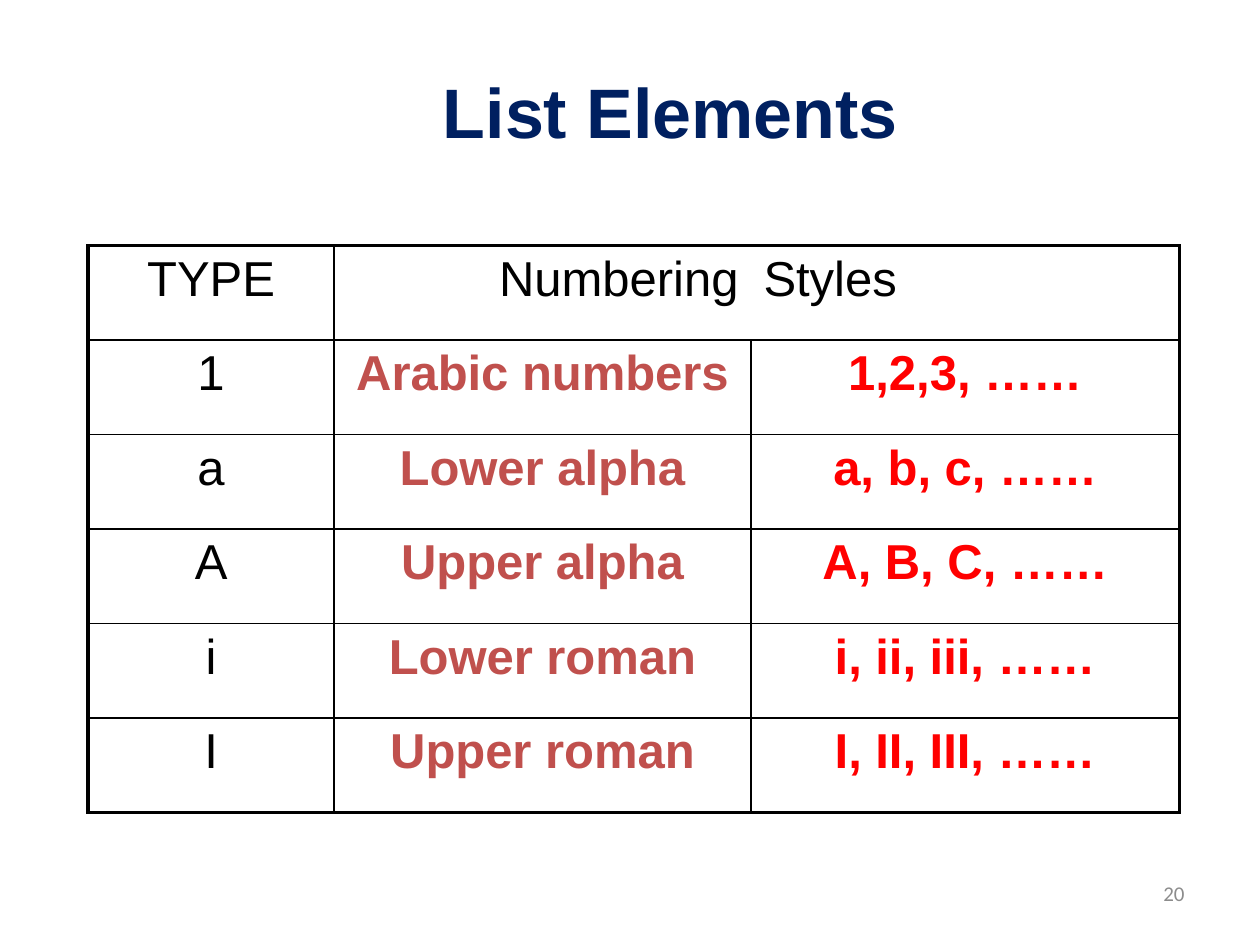
import pptx
import pptx.util
import pptx.dml.color
import pptx.enum.text
import pptx.oxml.ns
import lxml.etree

Pt = pptx.util.Pt
RGB = pptx.dml.color.RGBColor
Align = pptx.enum.text.PP_ALIGN
Anchor = pptx.enum.text.MSO_ANCHOR

NAVY = RGB(0x00, 0x20, 0x60)
BLACK = RGB(0x00, 0x00, 0x00)
BRICK = RGB(0xC0, 0x50, 0x4D)
RED = RGB(0xFF, 0x00, 0x00)
GRAY = RGB(0x8C, 0x8C, 0x8C)
THIN, THICK = 1, 2.25

HEAD = ("TYPE", "Numbering", "Styles")
ROWS = (
    ("1", "Arabic numbers", "1,2,3, ……"),
    ("a", "Lower alpha", "a, b, c, ……"),
    ("A", "Upper alpha", "A, B, C, ……"),
    ("i", "Lower roman", "i, ii, iii, ……"),
    ("I", "Upper roman", "I, II, III, ……"),
)


class Page:
    font = "Arial"

    def __init__(self, wide, high):
        self.deck = pptx.Presentation()
        self.deck.slide_width = pptx.util.Inches(wide)
        self.deck.slide_height = pptx.util.Inches(high)
        self.slide = self.deck.slides.add_slide(self.deck.slide_layouts[6])

    def box(self, x, y, w, h):
        wide, high = self.deck.slide_width, self.deck.slide_height
        return [round(v) for v in (x * wide, y * high, w * wide, h * high)]

    def label(self, frame, text, size, color, align, bold=False, font=None):
        para = frame.paragraphs[0]
        para.text = text
        para.alignment = align
        para.font.name = font or self.font
        para.font.size = Pt(size)
        para.font.bold = bold
        para.font.color.rgb = color

    def text(self, area, *args, **style):
        frame = self.slide.shapes.add_textbox(*self.box(*area)).text_frame
        frame.word_wrap = True
        frame.vertical_anchor = Anchor.MIDDLE
        self.label(frame, *args, **style)

    def edge(self, cell, side, width):
        qn = pptx.oxml.ns.qn
        props = cell._tc.get_or_add_tcPr()
        line = lxml.etree.SubElement(props, qn("a:ln" + side), w=str(Pt(width)))
        if not width:
            lxml.etree.SubElement(line, qn("a:noFill"))
            return
        fill = lxml.etree.SubElement(line, qn("a:solidFill"))
        lxml.etree.SubElement(fill, qn("a:srgbClr"), val=str(BLACK))

    def table(self, area, shares, head, rows, size):
        data = (head, *rows)
        frame = self.slide.shapes.add_table(
            len(data), len(shares), *self.box(*area))
        grid = frame.table
        grid.first_row = grid.horz_banding = False
        for col, share in zip(grid.columns, shares):
            col.width = round(share * self.deck.slide_width)
        last, end = len(data) - 1, len(shares) - 1
        colors = (BLACK, BRICK, RED)
        aligns = (Align.CENTER, Align.RIGHT, Align.LEFT)
        for r, words in enumerate(data):
            for c, word in enumerate(words):
                cell = grid.cell(r, c)
                edges = {
                    "L": THICK if c == 0 else 0 if r == 0 and c == 2 else THIN,
                    "R": THICK if c == end else 0 if r == 0 and c == 1 else THIN,
                    "T": THICK if r == 0 else THIN,
                    "B": THICK if r == last else THIN,
                }
                for side, width in edges.items():
                    self.edge(cell, side, width)
                cell.fill.background()
                self.label(cell.text_frame, word, size,
                           colors[c] if r else BLACK,
                           Align.CENTER if r else aligns[c],
                           bold=r > 0 and c > 0)

    def save(self):
        self.deck.save("out.pptx")


def main():
    page = Page(10, 7.5)
    page.text((0.047, 0.25 / 7.5, 0.97, 1.25 / 7.5),
              "List Elements", 40, NAVY, Align.CENTER, bold=True)
    page.table((0.07, 0.26, 0.867, 0.6), (0.195, 0.331, 0.34),
               HEAD, ROWS, 28)
    page.text((0.717, 0.91, 0.233, 0.07),
              "20", 12, GRAY, Align.RIGHT, font="Calibri")
    page.save()


if __name__ == "__main__":
    main()
